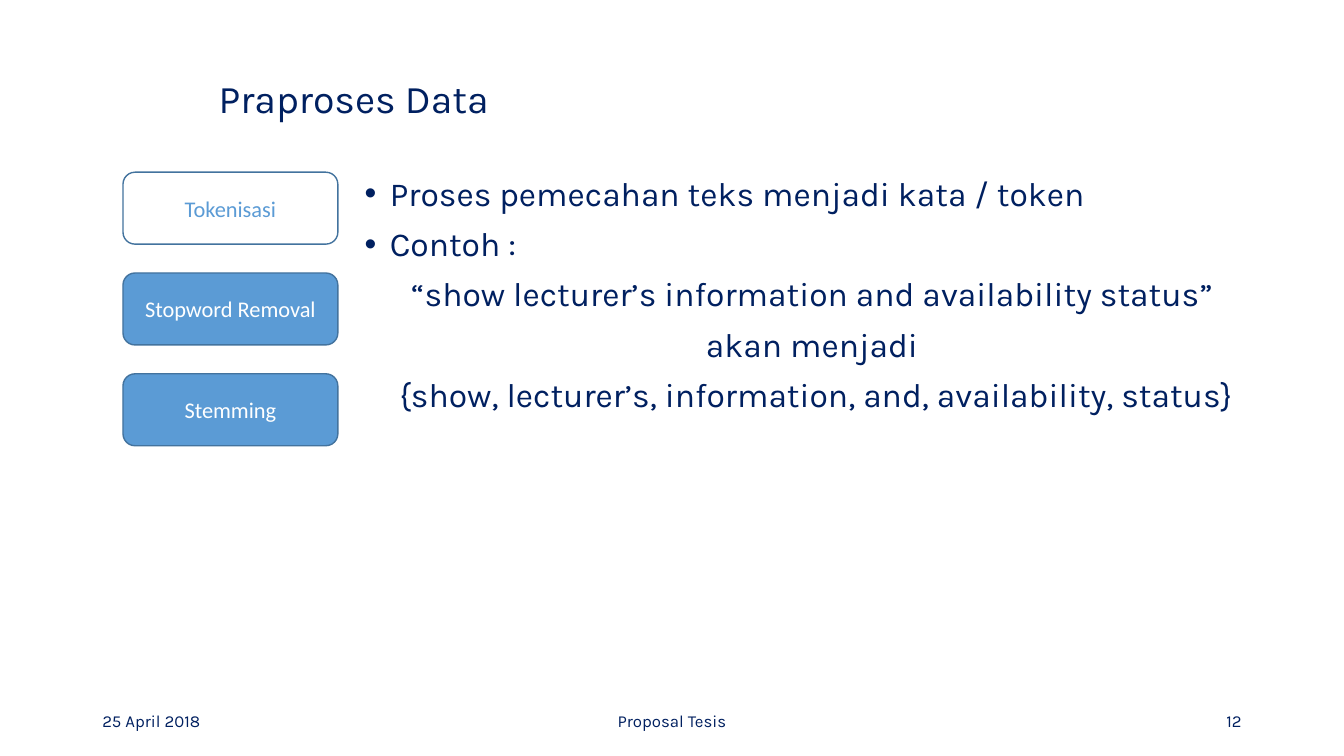
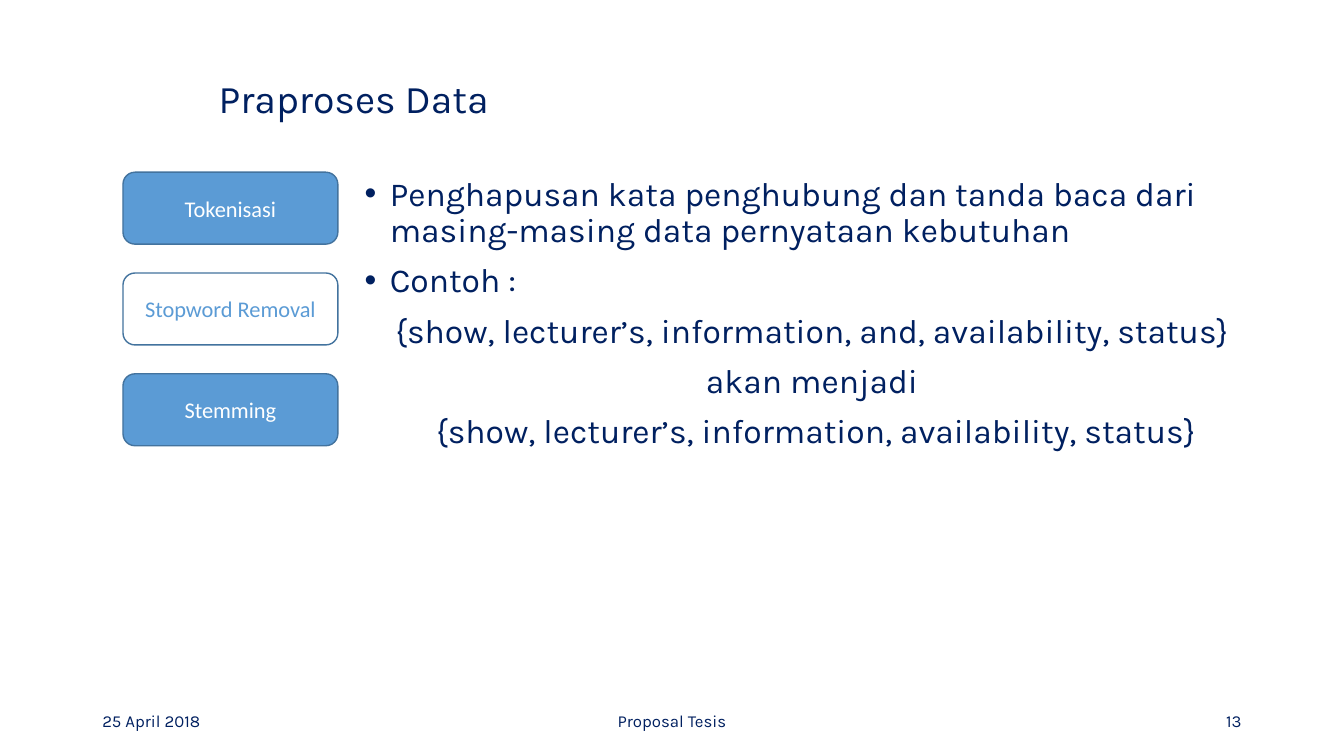
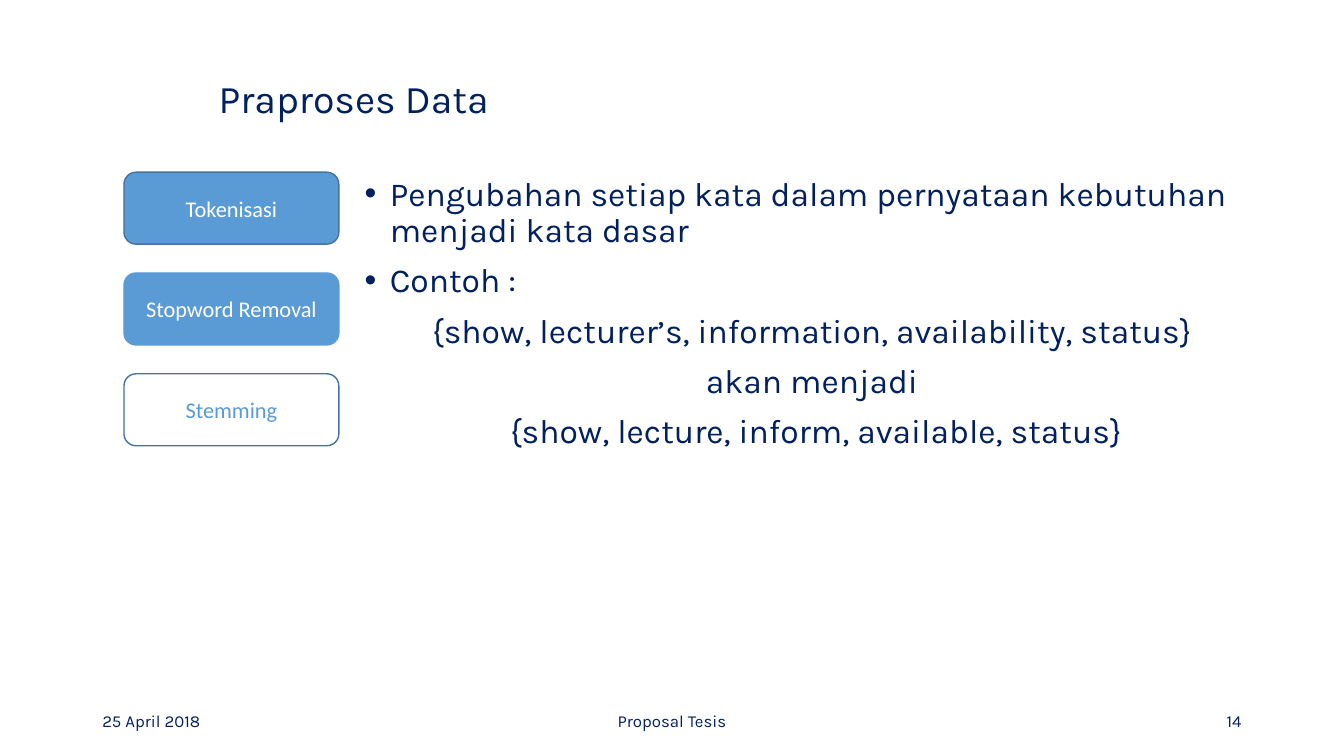
"""Build three slides on the steps of text preprocessing."""
from dataclasses import dataclass

from lxml import etree
from pptx import Presentation
from pptx.dml.color import RGBColor
from pptx.enum import shapes, text
from pptx.oxml import ns
from pptx.util import Pt

NAVY, BLUE, EDGE, WHITE = "002060", "5B9BD5", "43739E", "FFFFFF"
LEFT, CENTER, RIGHT = text.PP_ALIGN.LEFT, text.PP_ALIGN.CENTER, text.PP_ALIGN.RIGHT
TITLE = "Praproses Data"
STEPS = ("Tokenisasi", "Stopword Removal", "Stemming")
FIRST_NUMBER = 12
STEP_TOP, STEP_PITCH = 123, 72
BULLET_INDENT = 18


@dataclass(frozen=True)
class Box:
    """A rectangle in points."""
    left: float
    top: float
    width: float
    height: float

    def lengths(self) -> tuple:
        """Return the four values as lengths for python-pptx."""
        return Pt(self.left), Pt(self.top), Pt(self.width), Pt(self.height)


@dataclass(frozen=True)
class StepSlide:
    """One preprocessing step: its definition and a before/after example."""
    current: str
    definition: str
    before: str
    after: str
    steps_left: float = 87.84
    edgeless: str = ""


TITLE_BOX = Box(149, 38.2, 864, 67)
BODY_BOX = Box(253.4, 123, 659, 359)
DATE_BOX = Box(66, 500.5, 216, 28.8)
FOOTER_BOX = Box(318, 500.5, 324, 28.8)
NUMBER_BOX = Box(678, 500.5, 216, 28.8)

SLIDES = (
    StepSlide("Tokenisasi", "Proses pemecahan teks menjadi kata / token",
              "“show lecturer’s information and availability status” ",
              "{show, lecturer’s, information, and, availability, status}"),
    StepSlide("Stopword Removal",
              "Penghapusan kata penghubung dan tanda baca dari "
              "masing-masing data pernyataan kebutuhan",
              "{show, lecturer’s, information, and, availability, status} ",
              "{show, lecturer’s, information, availability, status}"),
    StepSlide("Stemming",
              "Pengubahan setiap kata dalam pernyataan kebutuhan menjadi kata dasar",
              "{show, lecturer’s, information, availability, status} ",
              "{show, lecture, inform, available, status}",
              steps_left=88.56, edgeless="Stopword Removal"),
)


def rgb(value: str) -> RGBColor:
    """Turn a hex string into a colour."""
    return RGBColor.from_string(value)


def write(paragraph, words: str, *, size: float, font: str = "Karla",
          color: str = NAVY, align=LEFT, spacing: float = 1.0,
          before: float = 0, bullet: bool = False) -> None:
    """Put formatted text into a paragraph."""
    paragraph.alignment = align
    paragraph.line_spacing = spacing
    paragraph.space_before = Pt(before)
    run = paragraph.add_run()
    run.text = words
    run.font.size, run.font.name = Pt(size), font
    run.font.color.rgb = rgb(color)
    if bullet:
        props = paragraph._p.get_or_add_pPr()
        props.set("marL", str(Pt(BULLET_INDENT)))
        props.set("indent", str(-Pt(BULLET_INDENT)))
        etree.SubElement(props, ns.qn("a:buFont")).set("typeface", "Arial")
        etree.SubElement(props, ns.qn("a:buChar")).set("char", "•")


def add_text_frame(slide, box: Box, anchor):
    """Add a wrapping text box and return its text frame."""
    frame = slide.shapes.add_textbox(*box.lengths()).text_frame
    frame.word_wrap = True
    frame.vertical_anchor = anchor
    return frame


def add_title(slide) -> None:
    """Place and fill the title placeholder."""
    title = slide.shapes.title
    title.left, title.top, title.width, title.height = TITLE_BOX.lengths()
    frame = title.text_frame
    frame.auto_size = text.MSO_AUTO_SIZE.NONE
    frame.vertical_anchor = text.MSO_ANCHOR.MIDDLE
    write(frame.paragraphs[0], TITLE, size=28, spacing=0.9)


def add_body(slide, content: StepSlide) -> None:
    """Write the definition and the centred example."""
    frame = add_text_frame(slide, BODY_BOX, text.MSO_ANCHOR.TOP)
    lines = ((content.definition, True), ("Contoh : ", True),
             (content.before, False), ("akan menjadi ", False),
             (content.after, False))
    for index, (words, bullet) in enumerate(lines):
        paragraph = frame.add_paragraph() if index else frame.paragraphs[0]
        write(paragraph, words, size=24, align=LEFT if bullet else CENTER,
              spacing=0.9, before=10, bullet=bullet)


def add_footer(slide, number: int) -> None:
    """Write the date, the footer text and the slide number."""
    for box, words, align in ((DATE_BOX, "25 April 2018", LEFT),
                              (FOOTER_BOX, "Proposal Tesis", CENTER),
                              (NUMBER_BOX, str(number), RIGHT)):
        frame = add_text_frame(slide, box, text.MSO_ANCHOR.MIDDLE)
        write(frame.paragraphs[0], words, size=12, align=align)


def add_steps(slide, content: StepSlide) -> None:
    """Stack the step buttons, with the current one in white."""
    for row, name in enumerate(STEPS):
        fill, ink = (WHITE, BLUE) if name == content.current else (BLUE, WHITE)
        box = Box(content.steps_left, STEP_TOP + row * STEP_PITCH, 153.5, 51.4)
        button = slide.shapes.add_shape(
            shapes.MSO_SHAPE.ROUNDED_RECTANGLE, *box.lengths())
        button.shadow.inherit = False
        button.fill.solid()
        button.fill.fore_color.rgb = rgb(fill)
        button.line.color.rgb = rgb(BLUE if name == content.edgeless else EDGE)
        button.line.width = Pt(1)
        frame = button.text_frame
        frame.word_wrap = True
        frame.vertical_anchor = text.MSO_ANCHOR.MIDDLE
        write(frame.paragraphs[0], name, size=16, font="Calibri",
              color=ink, align=CENTER)


def main() -> None:
    """Build and save the presentation."""
    deck = Presentation()
    deck.slide_width, deck.slide_height = Pt(960), Pt(540)
    title_only = deck.slide_layouts[5]
    for number, content in enumerate(SLIDES, FIRST_NUMBER):
        slide = deck.slides.add_slide(title_only)
        add_title(slide)
        add_body(slide, content)
        add_footer(slide, number)
        add_steps(slide, content)
    deck.save("out.pptx")


main()
